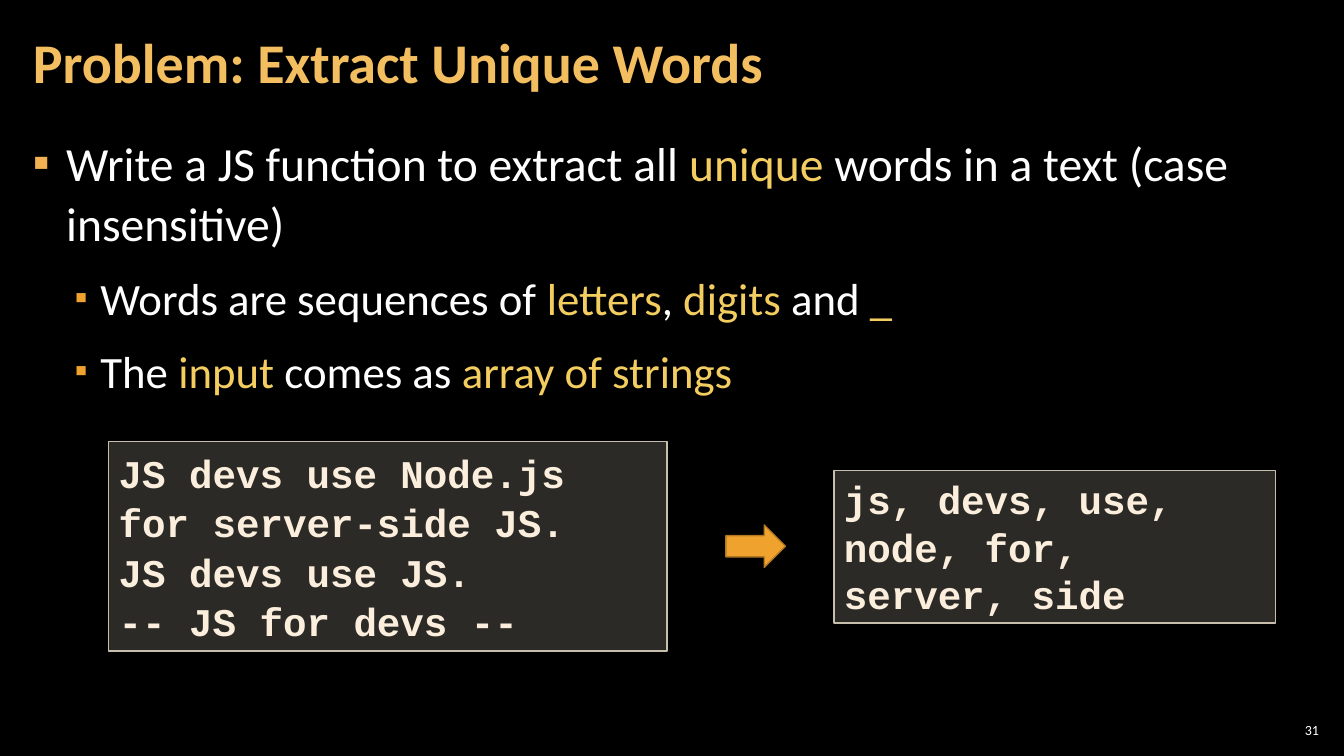
from dataclasses import dataclass

from lxml import etree
from pptx import Presentation
from pptx.dml.color import RGBColor
from pptx.enum.shapes import MSO_SHAPE
from pptx.enum.text import MSO_ANCHOR, MSO_AUTO_SIZE, PP_ALIGN
from pptx.oxml.ns import qn
from pptx.util import Cm, Pt

RECTANGLE, RIGHT_ARROW = MSO_SHAPE.RECTANGLE, MSO_SHAPE.RIGHT_ARROW
TOP, MIDDLE = MSO_ANCHOR.TOP, MSO_ANCHOR.MIDDLE
LEFT, RIGHT = PP_ALIGN.LEFT, PP_ALIGN.RIGHT
NO_AUTOFIT = MSO_AUTO_SIZE.NONE
TITLE_ONLY_LAYOUT = 5


@dataclass(frozen=True)
class Theme:
    background: str = "000000"
    text: str = "FFFFFF"
    title: str = "F3BE60"
    highlight: str = "F3CD60"
    accent: str = "F0A22E"
    accent_line: str = "B27822"
    first_bullet: str = "F2B254"
    code: str = "FBEEDC"
    panel: str = "D9D5C7"
    panel_line: str = "C7BFAC"
    panel_opacity: int = 20
    body_font: str = "Calibri"
    code_font: str = "Courier New"
    title_size: int = 40
    bullet_size: int = 34
    sub_bullet_size: int = 32
    code_size: int = 28
    number_size: int = 10


THEME = Theme()


@dataclass(frozen=True)
class Area:
    """A rectangle in centimetres."""
    left: float
    top: float
    width: float
    height: float

    def lengths(self) -> tuple:
        return Cm(self.left), Cm(self.top), Cm(self.width), Cm(self.height)


@dataclass(frozen=True)
class Bullet:
    """A list item; words between asterisks are highlighted."""
    text: str
    level: int = 1


@dataclass(frozen=True)
class BulletStyle:
    size: int
    color: str
    scale: int
    indent: float
    hanging: float


@dataclass(frozen=True)
class CodePanel:
    area: Area
    lines: tuple
    line_spacing: float = 1.0


BULLET_STYLES = (
    BulletStyle(THEME.bullet_size, THEME.first_bullet, 100, 0.84, 0.84),
    BulletStyle(THEME.sub_bullet_size, THEME.accent, 80, 1.7, 0.64),
)
BULLETS = (
    Bullet("Write a JS function to extract all *unique* words in a text (case insensitive)", 0),
    Bullet("Words are sequences of *letters*, *digits* and *_*"),
    Bullet("The *input* comes as *array of strings*"),
)
CODE_PANELS = (
    CodePanel(Area(2.74, 11.13, 14.07, 5.28),
              ("JS devs use Node.js for server-side JS.", "JS devs use JS.", "-- JS for devs --"),
              1.05),
    CodePanel(Area(21.01, 11.86, 11.13, 3.84), ("js, devs, use, node, for, server, side",)),
)
TITLE_AREA = Area(0.53, 0.1, 26.6, 3.07)
BODY_AREA = Area(0.53, 3.2, 32.8, 15.47)
NUMBER_AREA = Area(32.13, 18.14, 1.2, 0.53)
ARROW_AREA = Area(18.29, 13.23, 1.5, 1.07)


def color(value: str) -> RGBColor:
    return RGBColor.from_string(value)


def add_span(para, text: str, *, size: int, ink: str = THEME.text,
             font: str = THEME.body_font, bold: bool = False) -> None:
    span = para.add_run()
    span.text = text
    span.font.size = Pt(size)
    span.font.name = font
    span.font.bold = bold
    span.font.color.rgb = color(ink)


def set_frame(box, *, anchor=TOP, side: float = 0.3, edge: float = 0.1):
    frame = box.text_frame
    frame.word_wrap = True
    frame.auto_size = NO_AUTOFIT
    frame.vertical_anchor = anchor
    frame.margin_left = frame.margin_right = Cm(side)
    frame.margin_top = frame.margin_bottom = Cm(edge)
    return frame


def next_paragraph(frame, index: int):
    return frame.add_paragraph() if index else frame.paragraphs[0]


def add_bullet_mark(para, style: BulletStyle) -> None:
    properties = para._p.get_or_add_pPr()
    properties.set("marL", str(Cm(style.indent)))
    properties.set("indent", str(-Cm(style.hanging)))
    bullet_color = etree.SubElement(properties, qn("a:buClr"))
    etree.SubElement(bullet_color, qn("a:srgbClr"), val=style.color)
    etree.SubElement(properties, qn("a:buSzPct"), val=str(style.scale * 1000))
    etree.SubElement(properties, qn("a:buFont"), typeface=THEME.body_font)
    etree.SubElement(properties, qn("a:buChar"), char="▪")


def add_title(page, text: str) -> None:
    title = page.shapes.title
    title.left, title.top, title.width, title.height = TITLE_AREA.lengths()
    para = set_frame(title, anchor=MIDDLE).paragraphs[0]
    para.alignment = LEFT
    para.line_spacing = 0.9
    add_span(para, text, size=THEME.title_size, ink=THEME.title, bold=True)


def add_bullets(page, bullets: tuple) -> None:
    frame = set_frame(page.shapes.add_textbox(*BODY_AREA.lengths()))
    for index, bullet in enumerate(bullets):
        para = next_paragraph(frame, index)
        style = BULLET_STYLES[bullet.level]
        add_bullet_mark(para, style)
        para.level = bullet.level
        para.line_spacing = 1.05
        para.space_before = Pt(6 if index else 0)
        para.space_after = Pt(6)
        for part, text in enumerate(bullet.text.split("*")):
            if text:
                add_span(para, text, size=style.size,
                         ink=THEME.highlight if part % 2 else THEME.text)


def add_figure(page, kind, area: Area, *, fill: str, line: str):
    figure = page.shapes.add_shape(kind, *area.lengths())
    figure.shadow.inherit = False
    figure.fill.solid()
    figure.fill.fore_color.rgb = color(fill)
    figure.line.color.rgb = color(line)
    figure.line.width = Pt(1)
    return figure


def add_code_panel(page, panel: CodePanel) -> None:
    box = add_figure(page, RECTANGLE, panel.area, fill=THEME.panel, line=THEME.panel_line)
    fill_color = box._element.spPr.find(qn("a:solidFill")).find(qn("a:srgbClr"))
    etree.SubElement(fill_color, qn("a:alpha"), val=str(THEME.panel_opacity * 1000))
    frame = set_frame(box, side=0.25, edge=0.13)
    for index, text in enumerate(panel.lines):
        para = next_paragraph(frame, index)
        para.alignment = LEFT
        para.line_spacing = panel.line_spacing
        add_span(para, text, size=THEME.code_size, ink=THEME.code,
                 font=THEME.code_font, bold=True)


def add_page_number(page, number: str) -> None:
    box = page.shapes.add_textbox(*NUMBER_AREA.lengths())
    para = set_frame(box, anchor=MIDDLE, side=0.1).paragraphs[0]
    para.alignment = RIGHT
    add_span(para, number, size=THEME.number_size)


def main() -> None:
    deck = Presentation()
    deck.slide_width, deck.slide_height = Cm(33.86), Cm(19.05)
    page = deck.slides.add_slide(deck.slide_layouts[TITLE_ONLY_LAYOUT])
    page.background.fill.solid()
    page.background.fill.fore_color.rgb = color(THEME.background)
    add_title(page, "Problem: Extract Unique Words")
    add_bullets(page, BULLETS)
    for panel in CODE_PANELS:
        add_code_panel(page, panel)
    add_figure(page, RIGHT_ARROW, ARROW_AREA, fill=THEME.accent, line=THEME.accent_line)
    add_page_number(page, "31")
    deck.save("out.pptx")


if __name__ == "__main__":
    main()
